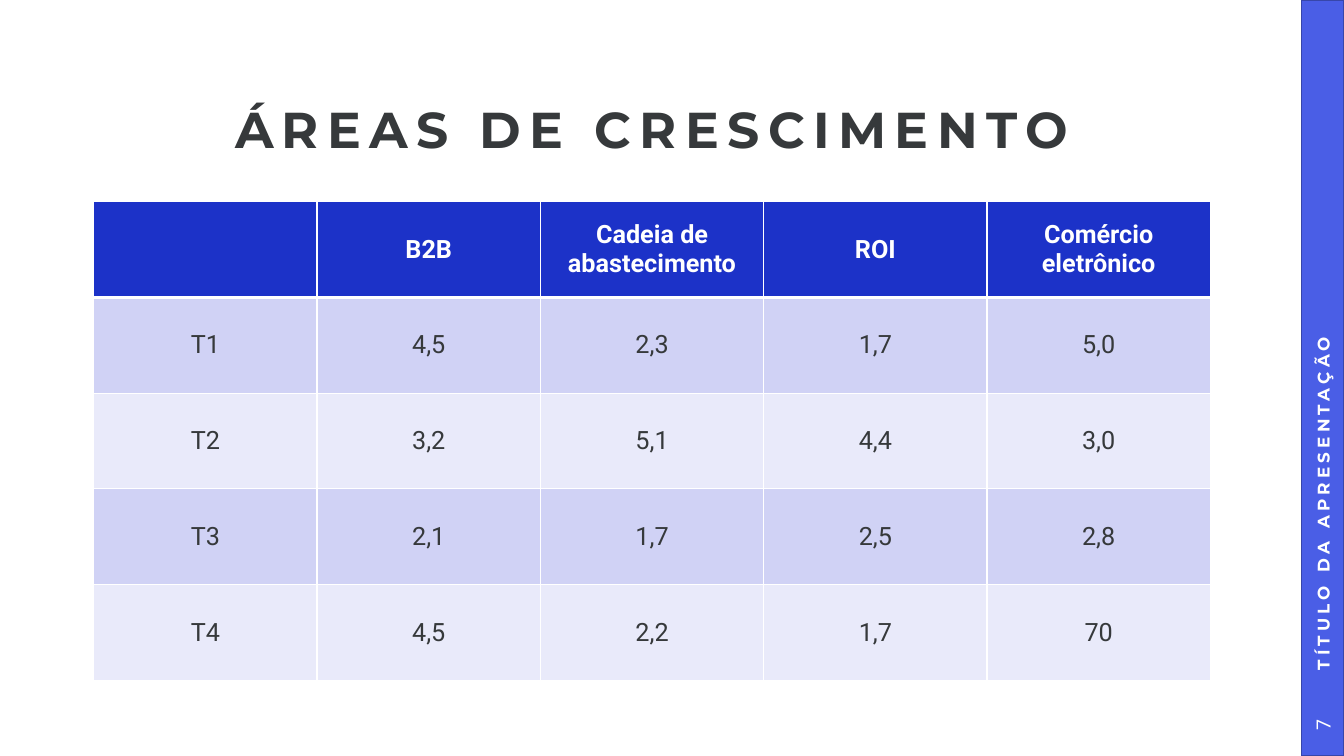
from dataclasses import dataclass

from lxml.etree import SubElement
from pptx import Presentation
from pptx.dml.color import RGBColor
from pptx.enum.shapes import MSO_SHAPE
from pptx.enum.text import MSO_ANCHOR, MSO_AUTO_SIZE, PP_ALIGN as Align
from pptx.oxml.ns import qn
from pptx.util import Inches, Pt


@dataclass(frozen=True)
class Theme:
    heading_font: str = "Montserrat"
    body_font: str = "Roboto"
    title_size: int = 36
    table_size: int = 18
    number_size: int = 14
    footer_size: int = 12
    ink: str = "36393B"
    white: str = "FFFFFF"
    header: str = "1C32C8"
    bands: tuple = ("D0D2F5", "E9EAFA")
    sidebar: str = "4A5EE6"
    sidebar_edge: str = "3746AA"


def rgb(value):
    return RGBColor.from_string(value)


def write(frame, text, *, font, size, color, bold=False, spacing=0,
          align=Align.CENTER, line_spacing=None):
    """Put one formatted paragraph into a text frame."""
    paragraph = frame.paragraphs[0]
    paragraph.alignment = align
    if line_spacing:
        paragraph.line_spacing = line_spacing
    run = paragraph.add_run()
    run.text = text
    run.font.name = font
    run.font.size = Pt(size)
    run.font.bold = bold
    run.font.color.rgb = rgb(color)
    if spacing:
        run.font._element.set("spc", str(spacing * 100))


class SlideBuilder:
    def __init__(self, slide, theme):
        self.slide = slide
        self.theme = theme

    def place(self, shape, left, top, width, height):
        shape.left, shape.top = Inches(left), Inches(top)
        shape.width, shape.height = Inches(width), Inches(height)

    def inset(self, frame, left, top, right, bottom):
        frame.margin_left, frame.margin_top = Inches(left), Inches(top)
        frame.margin_right, frame.margin_bottom = Inches(right), Inches(bottom)

    def sidebar(self, *box):
        band = self.slide.shapes.add_shape(
            MSO_SHAPE.RECTANGLE, *(Inches(length) for length in box))
        band.shadow.inherit = False
        band.fill.solid()
        band.fill.fore_color.rgb = rgb(self.theme.sidebar)
        band.line.color.rgb = rgb(self.theme.sidebar_edge)
        band.line.width = Pt(1)

    def title(self, text, *box):
        heading = self.slide.shapes.title
        self.place(heading, *box)
        frame = heading.text_frame
        frame.auto_size = MSO_AUTO_SIZE.NONE
        frame.word_wrap = True
        frame.vertical_anchor = MSO_ANCHOR.MIDDLE
        self.inset(frame, 0, 0, 0, 0)
        write(frame, text, font=self.theme.heading_font,
              size=self.theme.title_size, color=self.theme.ink, bold=True,
              spacing=6, line_spacing=0.9)

    def upright_text(self, text, *box, inset_left=0.1, **style):
        label = self.slide.shapes.add_textbox(
            *(Inches(length) for length in box))
        label.rotation = 270
        frame = label.text_frame
        frame.word_wrap = True
        frame.vertical_anchor = MSO_ANCHOR.MIDDLE
        self.inset(frame, inset_left, 0.05, 0.1, 0.05)
        write(frame, text, color=self.theme.white, **style)

    def border(self, cell, side, points):
        line = SubElement(cell._tc.get_or_add_tcPr(), qn(f"a:ln{side}"),
                          w=str(Pt(points)))
        fill = SubElement(line, qn("a:solidFill"))
        SubElement(fill, qn("a:srgbClr"), val=self.theme.white)

    def table(self, rows, left, top, column_width, row_height):
        theme = self.theme
        column_count = len(rows[0])
        grid = self.slide.shapes.add_table(
            len(rows), column_count, Inches(left), Inches(top),
            Inches(column_width * column_count),
            Inches(row_height * len(rows))).table
        for column in grid.columns:
            column.width = Inches(column_width)
        for r, values in enumerate(rows):
            grid.rows[r].height = Inches(row_height)
            is_header = r == 0
            # The rule below the header is shared with the first data row
            widths = {"L": 1, "R": 1, "T": 3 if r == 1 else 1,
                      "B": 3 if is_header else 1}
            for c, value in enumerate(values):
                cell = grid.cell(r, c)
                for side, points in widths.items():
                    self.border(cell, side, points)
                cell.fill.solid()
                cell.fill.fore_color.rgb = rgb(
                    theme.header if is_header else theme.bands[(r - 1) % 2])
                cell.vertical_anchor = MSO_ANCHOR.MIDDLE
                if value:
                    write(cell.text_frame, value, font=theme.body_font,
                          size=theme.table_size, bold=is_header,
                          color=theme.white if is_header else theme.ink)


GROWTH = [
    ["", "B2B", "Cadeia de abastecimento", "ROI", "Comércio eletrônico"],
    ["T1", "4,5", "2,3", "1,7", "5,0"],
    ["T2", "3,2", "5,1", "4,4", "3,0"],
    ["T3", "2,1", "1,7", "2,5", "2,8"],
    ["T4", "4,5", "2,2", "1,7", "70"],
]


def main():
    deck = Presentation()
    deck.slide_width, deck.slide_height = Inches(13.33), Inches(7.5)
    theme = Theme()
    title_only = deck.slide_layouts[5]
    page = SlideBuilder(deck.slides.add_slide(title_only), theme)

    # Sidebar band
    page.sidebar(12.91, 0, 0.42, 7.5)

    # Heading and growth table
    page.title("ÁREAS DE CRESCIMENTO", 0.93, 0.96, 11.07, 0.71)
    page.table(GROWTH, 0.93, 2, column_width=2.215, row_height=0.95)

    # Footer and slide number, read from bottom to top
    page.upright_text("TÍTULO DA APRESENTAÇÃO", 9.68, 3.23, 6.88, 0.42,
                      inset_left=0.23, font=theme.heading_font,
                      size=theme.footer_size, bold=True, spacing=3,
                      align=Align.LEFT)
    page.upright_text("7", 12.81, 6.98, 0.62, 0.42,
                      font=theme.body_font, size=theme.number_size)

    deck.save("out.pptx")


if __name__ == "__main__":
    main()
